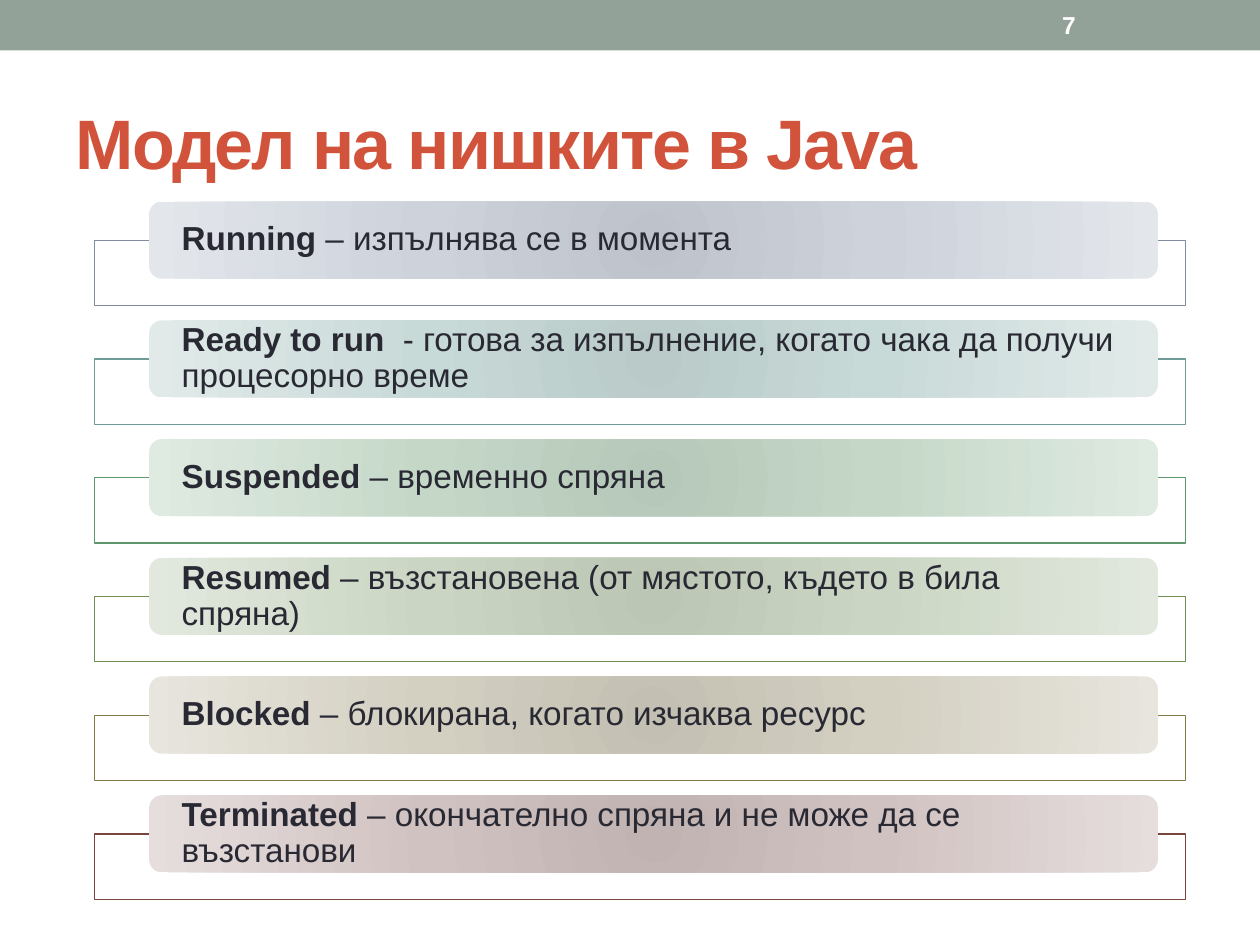
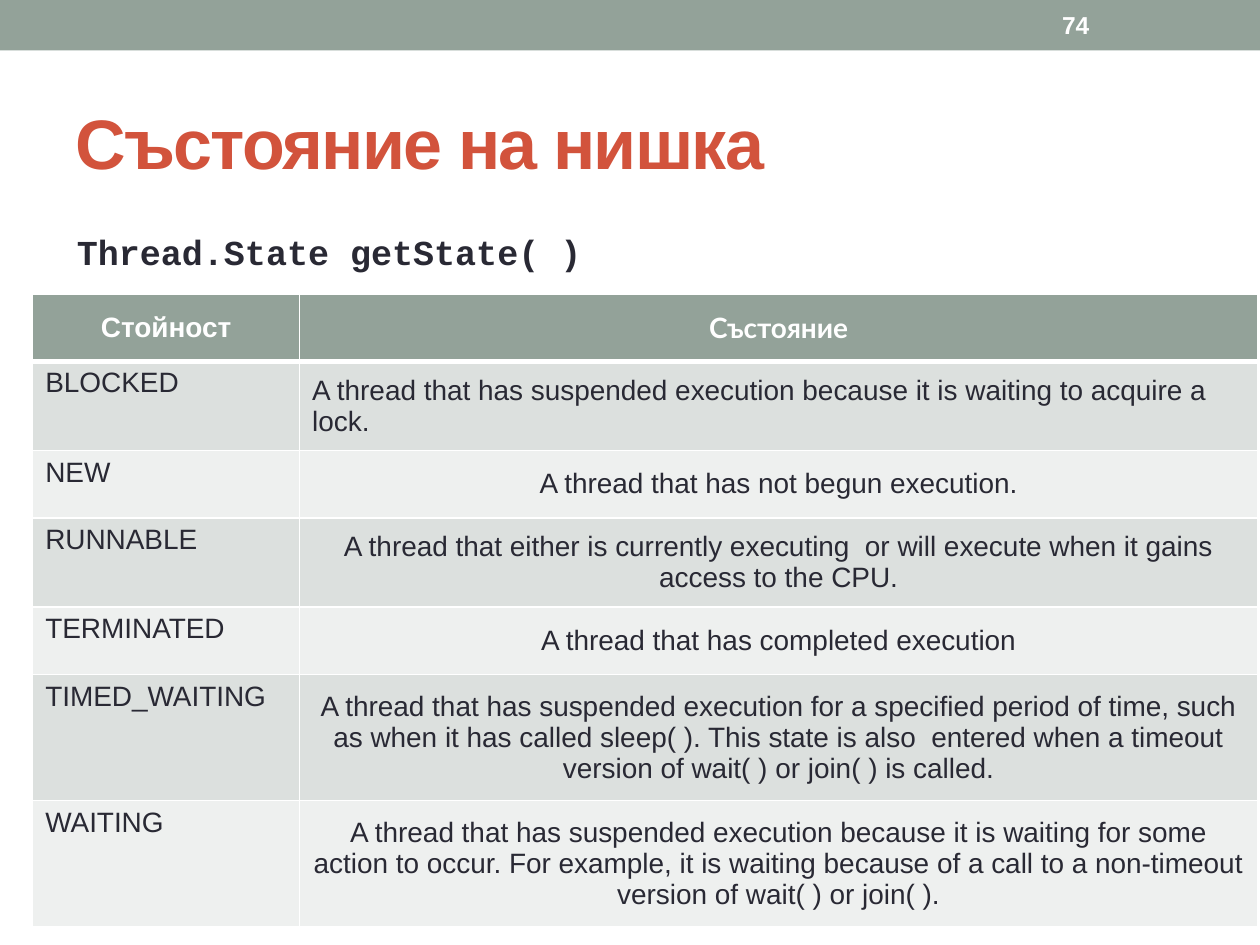
from lxml.etree import SubElement
from pptx import Presentation
from pptx.dml.color import RGBColor
from pptx.enum.shapes import MSO_SHAPE
from pptx.enum.text import MSO_ANCHOR, MSO_AUTO_SIZE, PP_ALIGN
from pptx.oxml import parse_xml
from pptx.oxml.ns import nsdecls, qn
from pptx.util import Pt

TITLE_ONLY, TITLE_BODY = 5, 1
FONT, CODE_FONT, HEAD_FONT = "Arial", "Courier New", "Lato"
SAGE, RED, DARK, WHITE = "93A299", "D2533C", "292934", "FFFFFF"
ROW_FILLS = ("DCE0DE", "EEF0EF")

STATES = [
    ("Running", " – изпълнява се в момента", "808DA0", ("BEC3CB", "CDD2DB", "E3E6EB")),
    ("Ready to run ", " - готова за изпълнение, когато чака да получи процесорно време",
     "6F9B97", ("B9CAC8", "C8DAD8", "E1EAE9")),
    ("Suspended", " – временно спряна", "60966C", ("B6C8B9", "C5D8C8", "DFEAE1")),
    ("Resumed", " – възстановена (от мястото, където в била спряна)",
     "6F8D54", ("BBC6B4", "CAD6C3", "E2E8DE")),
    ("Blocked", " – блокирана, когато изчаква ресурс", "837A48", ("C3BFB2", "D3CFC1", "E7E5DD")),
    ("Terminated", " – окончателно спряна и не може да се възстанови",
     "79463D", ("C0B3B1", "D0C2C0", "E5DEDD")),
]
STATE_TOP, STATE_PITCH = 115.2, 67.85

VALUES = [
    ("BLOCKED", "A thread that has suspended execution because it is waiting to acquire a lock."),
    ("NEW", "A thread that has not begun execution."),
    ("RUNNABLE", "A thread that either is currently executing  or will execute when it gains "
     "access to the CPU."),
    ("TERMINATED", "A thread that has completed execution"),
    ("TIMED_WAITING", "A thread that has suspended execution for a specified period of time, such as "
     "when it has called sleep( ). This state is also  entered when a timeout version of wait( ) "
     "or join( ) is called."),
    ("WAITING", "A thread that has suspended execution because it is waiting for some action to occur. "
     "For example, it is waiting because of a call to a non-timeout version of wait( ) or join( )."),
]
COL_WIDTHS = (152.5, 547.5)
ROW_HEIGHTS = (38.5, 51, 38.5, 51, 38.5, 72, 72)


def rgb(color):
    return RGBColor.from_string(color)


class Deck:
    def __init__(self):
        self.prs = Presentation()
        self.prs.slide_width, self.prs.slide_height = Pt(720), Pt(540)
        self.s = None

    def slide(self, layout, title, number, title_width=648):
        self.s = self.prs.slides.add_slide(self.prs.slide_layouts[layout])
        self.shape(MSO_SHAPE.RECTANGLE, 0, 0, 720, 28.8, SAGE)
        tf = self.placeholder(0, 36, 41.8, title_width, 77.8)
        tf.vertical_anchor = MSO_ANCHOR.MIDDLE
        p = tf.paragraphs[0]
        p.alignment = PP_ALIGN.LEFT
        r = self.run(p, title, 40, RED, bold=True)
        r.font._element.set("spc", "-100")
        self.number(number)

    def placeholder(self, idx, x, y, w, h):
        sp = self.s.placeholders[idx]
        sp.left, sp.top, sp.width, sp.height = Pt(x), Pt(y), Pt(w), Pt(h)
        sp.text_frame.auto_size = MSO_AUTO_SIZE.NONE
        return sp.text_frame

    def run(self, p, text, size, color, bold=False, font=FONT):
        r = p.add_run()
        r.text = text
        r.font.size, r.font.bold, r.font.name = Pt(size), bold, font
        r.font.color.rgb = rgb(color)
        return r

    def number(self, text):
        tf = self.s.shapes.add_textbox(Pt(599.8), Pt(1.4), Pt(84.2), Pt(26)).text_frame
        tf.word_wrap = True
        tf.vertical_anchor = MSO_ANCHOR.MIDDLE
        self.run(tf.paragraphs[0], text, 14, WHITE, bold=True)

    def shape(self, kind, x, y, w, h, fill, line=None):
        sp = self.s.shapes.add_shape(kind, Pt(x), Pt(y), Pt(w), Pt(h))
        sp.shadow.inherit = False
        sp.fill.solid()
        sp.fill.fore_color.rgb = rgb(fill)
        if line:
            sp.line.color.rgb = rgb(line)
            sp.line.width = Pt(0.75)
        else:
            sp.line.fill.background()
        return sp

    def radial(self, sp, colors):
        stops = "".join(f'<a:gs pos="{pos}"><a:srgbClr val="{color}"/></a:gs>'
                        for pos, color in zip((0, 45000, 100000), colors))
        grad = parse_xml(f'<a:gradFill {nsdecls("a")} rotWithShape="1"><a:gsLst>{stops}</a:gsLst>'
                         '<a:path path="circle"><a:fillToRect l="100000" t="100000" '
                         'r="100000" b="100000"/></a:path></a:gradFill>')
        spPr = sp._element.spPr
        spPr.replace(spPr.find(qn("a:solidFill")), grad)

    def state(self, y, name, meaning, line, colors):
        frame = self.shape(MSO_SHAPE.RECTANGLE, 54, y + 22.1, 623.5, 37.4, WHITE, line)
        white = frame._element.spPr.find(qn("a:solidFill"))[0]
        SubElement(white, qn("a:alpha"), val="90000")
        sp = self.shape(MSO_SHAPE.ROUNDED_RECTANGLE, 85.2, y, 576.5, 44.1, WHITE)
        self.radial(sp, colors)
        tf = sp.text_frame
        tf.word_wrap = True
        tf.vertical_anchor = MSO_ANCHOR.MIDDLE
        tf.margin_left = tf.margin_right = Pt(16.5)
        tf.margin_top = tf.margin_bottom = 0
        p = tf.paragraphs[0]
        p.alignment, p.line_spacing = PP_ALIGN.LEFT, 0.9
        self.run(p, name, 19, DARK, bold=True)
        self.run(p, meaning, 19, DARK)

    def code(self, text):
        p = self.placeholder(1, 36.7, 128.2, 647.3, 396.7).paragraphs[0]
        p.space_before = Pt(4)
        pPr = p._p.get_or_add_pPr()
        pPr.set("marL", "0")
        pPr.set("indent", "0")
        SubElement(pPr, qn("a:buNone"))
        self.run(p, text, 20, DARK, bold=True, font=CODE_FONT)

    def cell(self, cell, text, fill, color, align, anchor, top, bottom, bold=False, font=FONT):
        tcPr = cell._tc.get_or_add_tcPr()
        for side, width in zip("LRTB", (1, 1, top, bottom)):
            ln = SubElement(tcPr, qn(f"a:ln{side}"), w=str(Pt(width)))
            SubElement(SubElement(ln, qn("a:solidFill")), qn("a:srgbClr"), val=WHITE)
        cell.fill.solid()
        cell.fill.fore_color.rgb = rgb(fill)
        cell.vertical_anchor = anchor
        p = cell.text_frame.paragraphs[0]
        p.alignment = align
        self.run(p, text, 16, color, bold, font)

    def table(self, x, y, heads, rows):
        tbl = self.s.shapes.add_table(len(rows) + 1, len(heads), Pt(x), Pt(y),
                                      Pt(sum(COL_WIDTHS)), Pt(sum(ROW_HEIGHTS))).table
        for col, width in zip(tbl.columns, COL_WIDTHS):
            col.width = Pt(width)
        for row, height in zip(tbl.rows, ROW_HEIGHTS):
            row.height = Pt(height)
        for c, (head, font) in enumerate(heads):
            self.cell(tbl.cell(0, c), head, SAGE, WHITE, PP_ALIGN.CENTER, MSO_ANCHOR.MIDDLE,
                      1, 3, bold=True, font=font)
        for i, (value, meaning) in enumerate(rows):
            fill, top = ROW_FILLS[i % 2], 1 if i else 3
            align = PP_ALIGN.CENTER if i else PP_ALIGN.LEFT
            self.cell(tbl.cell(i + 1, 0), value, fill, DARK, PP_ALIGN.LEFT, MSO_ANCHOR.TOP, top, 1)
            self.cell(tbl.cell(i + 1, 1), meaning, fill, DARK, align, MSO_ANCHOR.MIDDLE, top, 1)


def main():
    deck = Deck()

    deck.slide(TITLE_ONLY, "Модел на нишките в Java", "7")
    for i, state in enumerate(STATES):
        deck.state(STATE_TOP + i * STATE_PITCH, *state)

    deck.slide(TITLE_BODY, "Състояние на нишка", "74", title_width=684)
    deck.code("Thread.State getState( )")
    deck.table(18.7, 168, [("Стойност", FONT), ("Състояние", HEAD_FONT)], VALUES)

    deck.prs.save("out.pptx")


if __name__ == "__main__":
    main()
